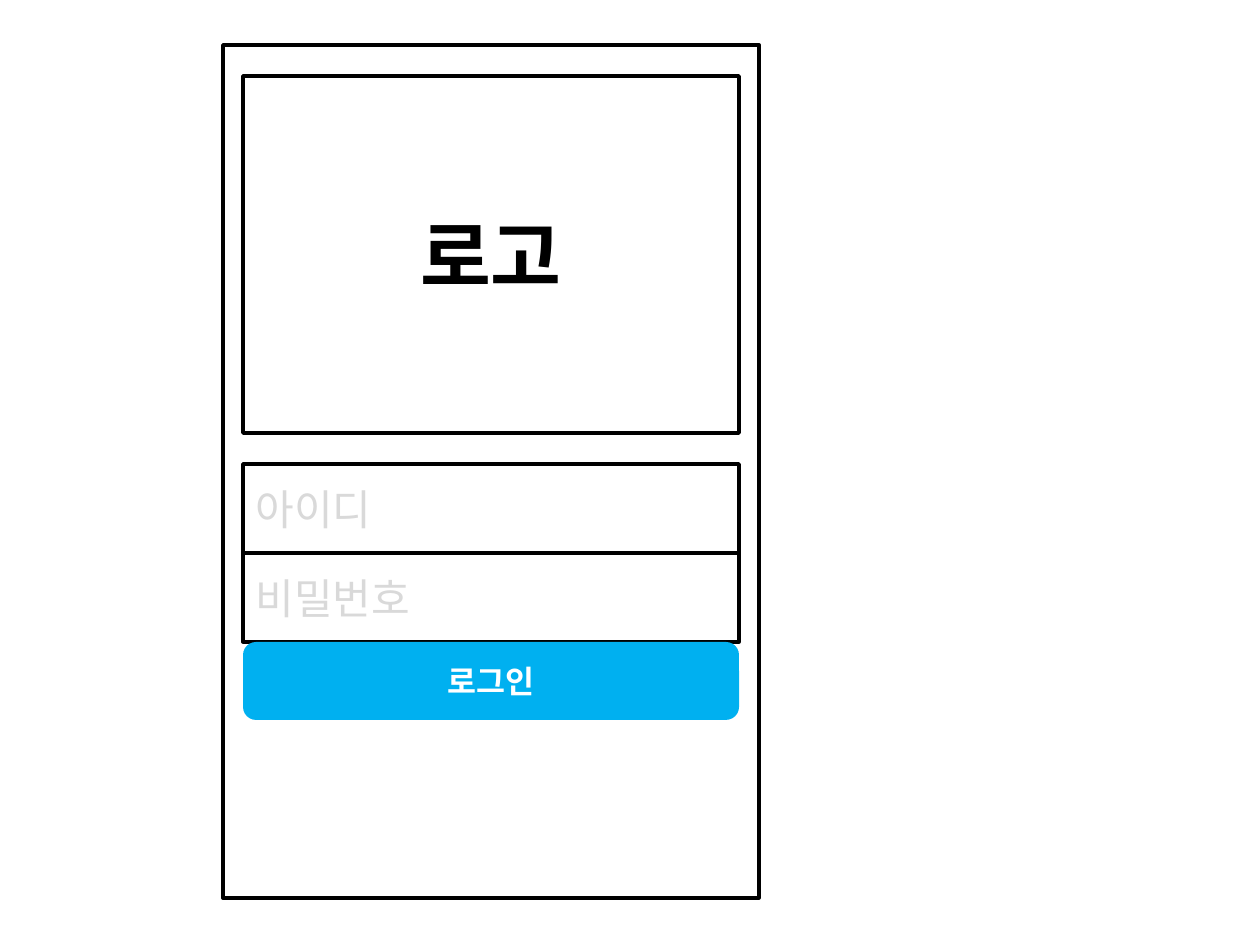
from dataclasses import dataclass

from lxml import etree
from pptx import Presentation
from pptx.dml.color import RGBColor
from pptx.enum.shapes import MSO_SHAPE
from pptx.enum.text import MSO_ANCHOR, PP_ALIGN
from pptx.oxml.ns import qn
from pptx.util import Emu, Pt

RECTANGLE = MSO_SHAPE.RECTANGLE
ROUNDED = MSO_SHAPE.ROUNDED_RECTANGLE
LEFT, CENTER = PP_ALIGN.LEFT, PP_ALIGN.CENTER
MIDDLE = MSO_ANCHOR.MIDDLE

EMU_PER_PX = 914400 / 126
FONT = "Noto Sans CJK KR"
COLORS = {
    "outline": "000000",
    "title": "000000",
    "hint": "D9D9D9",
    "button": "00B0F0",
    "button_text": "FFFFFF",
}

# Shared column and stacked rows of the login form
COLUMN_LEFT, COLUMN_WIDTH = 243, 496
FORM_TOP, FIELD_HEIGHT = 464, 89
HINTS = ("아이디", "비밀번호")


@dataclass(frozen=True)
class Box:
    top: int
    height: int
    left: int = COLUMN_LEFT
    width: int = COLUMN_WIDTH
    kind: int = RECTANGLE
    fill: str = ""
    text: str = ""
    size: int = 24
    color: str = "hint"
    bold: bool = False
    align: int = CENTER


def px(value: int) -> Emu:
    return Emu(round(value * EMU_PER_PX))


def rgb(name: str) -> RGBColor:
    return RGBColor.from_string(COLORS[name])


def write_text(shape, box: Box) -> None:
    frame = shape.text_frame
    frame.text = box.text
    frame.word_wrap = True
    frame.vertical_anchor = MIDDLE
    paragraph = frame.paragraphs[0]
    paragraph.alignment = box.align
    font = paragraph.runs[0].font
    font.name = FONT
    font.size = Pt(box.size)
    font.bold = box.bold
    font.color.rgb = rgb(box.color)
    # Korean glyphs take the East Asian typeface
    properties = paragraph.runs[0]._r.get_or_add_rPr()
    etree.SubElement(properties, qn("a:ea"), typeface=FONT)


def draw_box(slide, box: Box) -> None:
    shape = slide.shapes.add_shape(
        box.kind, px(box.left), px(box.top), px(box.width), px(box.height)
    )
    shape.shadow.inherit = False
    if box.fill:
        shape.fill.solid()
        shape.fill.fore_color.rgb = rgb(box.fill)
        shape.line.fill.background()
    else:
        shape.fill.background()
        shape.line.color.rgb = rgb("outline")
        shape.line.width = Pt(2)
    if box.text:
        write_text(shape, box)


def main() -> None:
    presentation = Presentation()
    presentation.slide_width = px(1260)
    presentation.slide_height = px(945)
    slide = presentation.slides.add_slide(presentation.slide_layouts[6])

    # Logo area and phone screen
    draw_box(slide, Box(76, 357, text="로고", size=44, color="title", bold=True))
    draw_box(slide, Box(45, 853, left=223, width=536))

    # Input fields
    for row, hint in enumerate(HINTS):
        top = FORM_TOP + row * FIELD_HEIGHT
        draw_box(slide, Box(top, FIELD_HEIGHT, text=hint, align=LEFT))

    # Login button, directly below the fields
    button_top = FORM_TOP + len(HINTS) * FIELD_HEIGHT
    draw_box(slide, Box(button_top, 78, kind=ROUNDED, fill="button", text="로그인",
                        size=18, color="button_text", bold=True))

    presentation.save("out.pptx")


if __name__ == "__main__":
    main()
